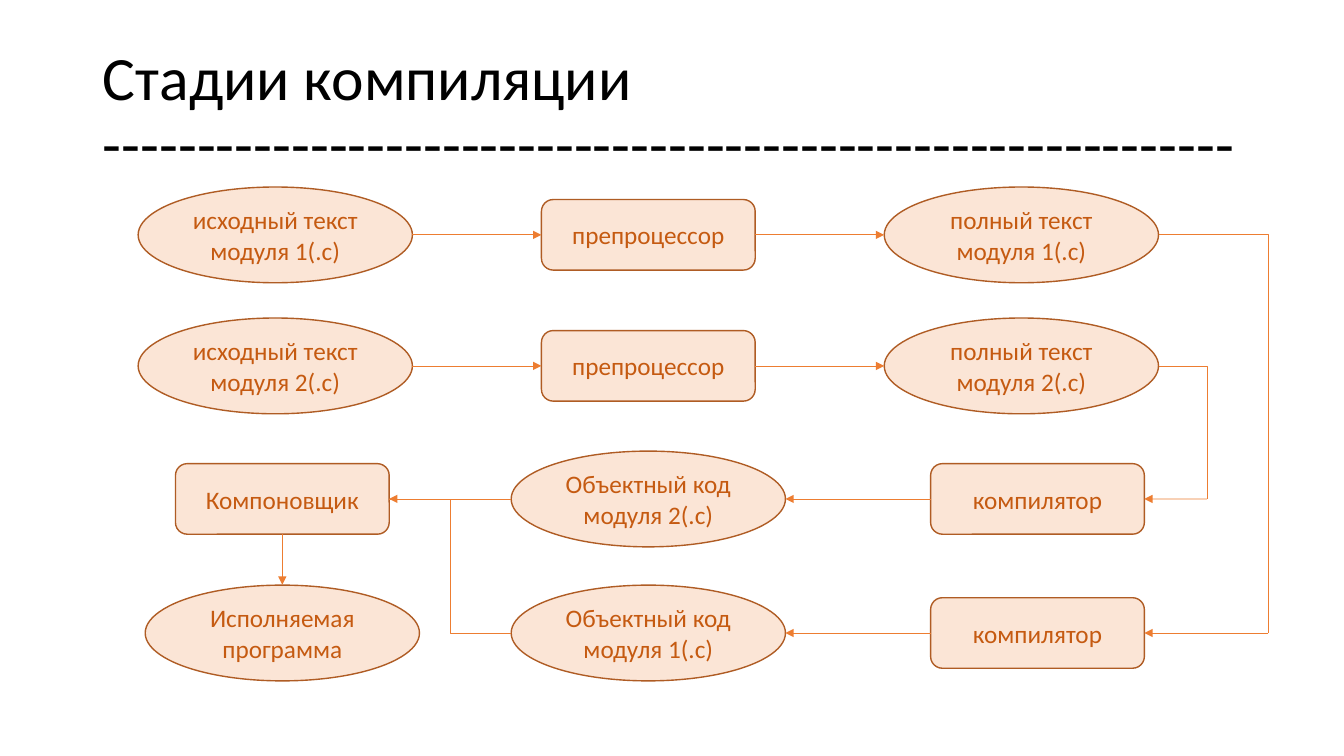
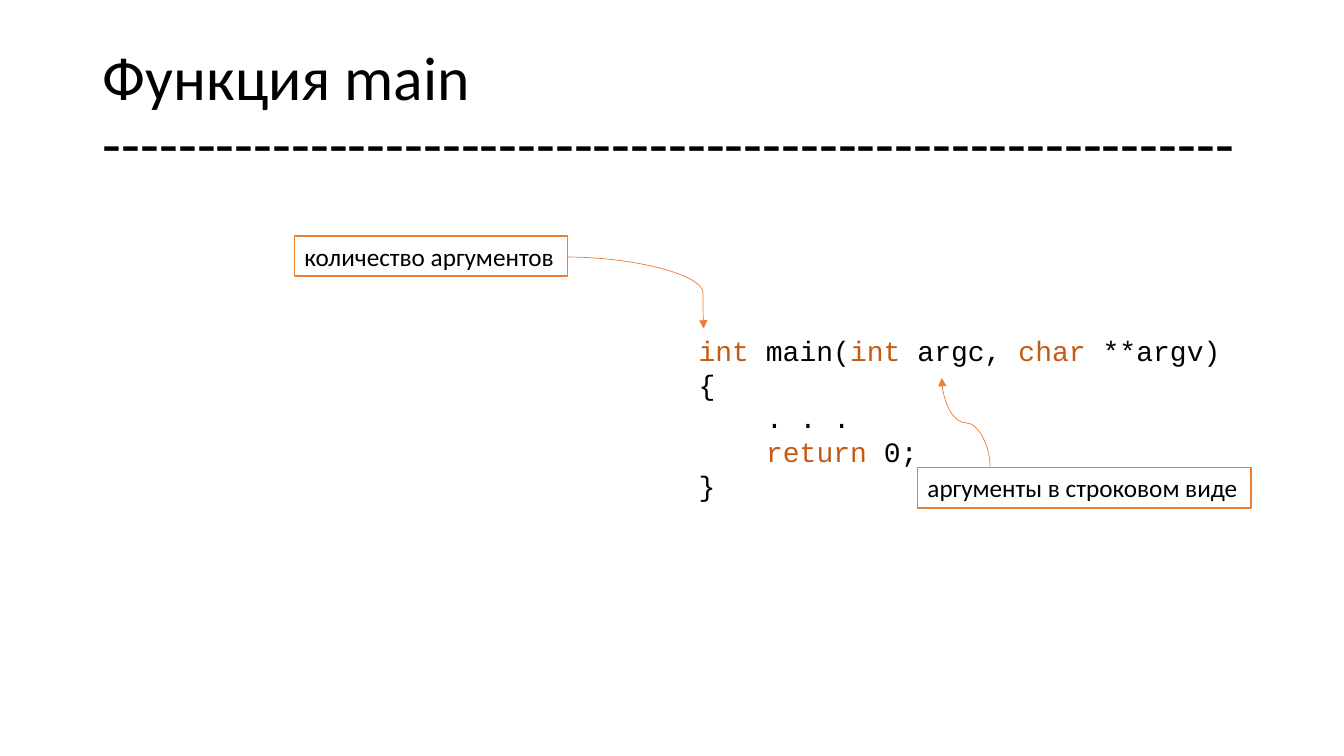
from dataclasses import dataclass

from lxml import etree
from pptx import Presentation
from pptx import util as u
from pptx.dml.color import RGBColor
from pptx.enum import shapes, text
from pptx.oxml import ns

KIND = shapes.MSO_SHAPE
WIRE = shapes.MSO_CONNECTOR
ALIGN = text.PP_ALIGN


@dataclass(frozen=True)
class Theme:
    ink: str = "000000"
    paper: str = "FFFFFF"
    pale: str = "FBE5D6"
    edge: str = "AF5C24"
    word: str = "C55A11"
    wire: str = "ED7D31"
    font: str = "Calibri"
    mono: str = "Courier New"
    head: int = 44
    code: int = 20
    body: int = 18
    thin: float = 0.5
    rim: float = 1


def put(item, vals):
    for name, val in vals.items():
        setattr(item, name, val)


def paint(fill, tone):
    fill.solid()
    fill.fore_color.rgb = RGBColor.from_string(tone)


def sub(node, tag, **vals):
    return etree.SubElement(node, ns.qn(tag), vals)


class Deck:
    def __init__(self, theme):
        self.theme = theme
        self.prs = Presentation()
        put(self.prs, {"slide_width": u.Inches(13.33), "slide_height": u.Inches(7.5)})

    def page(self, name):
        """Add a slide whose title is underlined by a row of dashes."""
        t = self.theme
        self.slide = self.prs.slides.add_slide(self.prs.slide_layouts[5])
        title = self.slide.shapes.title
        put(title, dict(zip(("left", "top", "width", "height"),
                            map(u.Inches, (0.92, 0.4, 11.5, 1.45)))))
        put(title.text_frame, {
            "text": name + "\v" + "-" * 60,
            "vertical_anchor": text.MSO_ANCHOR.MIDDLE,
            "auto_size": text.MSO_AUTO_SIZE.NONE})
        para = title.text_frame.paragraphs[0]
        put(para, {"alignment": ALIGN.LEFT, "line_spacing": 0.9})
        for run in para.runs:
            self.style(run, t.head, t.ink)

    def style(self, run, size, tone, face=None):
        put(run.font, {"size": u.Pt(size), "name": face or self.theme.font})
        run.font.color.rgb = RGBColor.from_string(tone)

    def rim(self, shape, fill, edge):
        paint(shape.fill, fill)
        paint(shape.line.fill, edge)
        shape.line.width = u.Pt(self.theme.rim)

    def node(self, kind, x, y, w, h, words):
        """Add a filled shape centred on x, y."""
        t = self.theme
        shape = self.slide.shapes.add_shape(
            kind, *map(u.Inches, (x - w / 2, y - h / 2, w, h)))
        shape.shadow.inherit = False
        self.rim(shape, t.pale, t.edge)
        put(shape.text_frame, {"word_wrap": True, "text": words,
                               "vertical_anchor": text.MSO_ANCHOR.MIDDLE})
        para = shape.text_frame.paragraphs[0]
        para.alignment = ALIGN.CENTER
        self.style(para.runs[0], t.body, t.word)
        return shape

    def data(self, x, y, words):
        return self.node(KIND.OVAL, x, y, 2.72, 0.95, words)

    def step(self, x, y, words):
        return self.node(KIND.ROUNDED_RECTANGLE, x, y, 2.12, 0.7, words)

    def box(self, x, y, w, h):
        shape = self.slide.shapes.add_textbox(*map(u.Inches, (x, y, w, h)))
        put(shape.text_frame, {"word_wrap": False,
                               "auto_size": text.MSO_AUTO_SIZE.SHAPE_TO_FIT_TEXT})
        return shape

    def label(self, x, y, w, words):
        t = self.theme
        shape = self.box(x, y, w, 0.4)
        self.rim(shape, t.paper, t.wire)
        run = shape.text_frame.paragraphs[0].add_run()
        run.text = words
        self.style(run, t.body, t.ink)

    def code(self, x, y, w, h, rows):
        """Write rows of (indent, parts); every second part is a keyword."""
        t = self.theme
        frame = self.box(x, y, w, h).text_frame
        for i, (indent, parts) in enumerate(rows):
            para = frame.add_paragraph() if i else frame.paragraphs[0]
            if indent:
                para._p.get_or_add_pPr().set("marL", str(u.Inches(indent)))
            for j, part in enumerate(parts):
                if part:
                    run = para.add_run()
                    run.text = part
                    self.style(run, t.code, t.word if j % 2 else t.ink, t.mono)

    def line(self, start, end, kind=WIRE.STRAIGHT, head=True, form=None, bend=None):
        wire = self.slide.shapes.add_connector(kind, *map(u.Inches, (*start, *end)))
        paint(wire.line.fill, self.theme.wire)
        wire.line.width = u.Pt(self.theme.thin)
        props = wire._element.spPr
        if head:
            sub(wire.line._get_or_add_ln(), "a:tailEnd", type="triangle")
        sub(props, "a:effectLst")
        geom = props.find(ns.qn("a:prstGeom"))
        if form:
            geom.set("prst", form)
        if bend:
            stops = geom.find(ns.qn("a:avLst"))
            if stops is None:
                stops = sub(geom, "a:avLst")
            sub(stops, "a:gd", name="adj1", fmla=f"val {round(bend * 100000)}")
        return wire

    def rise(self, start, end):
        """Curve that leaves its start upwards: a level curve turned by 270 degrees."""
        (x, y), (p, q) = start, end
        mx, my, dx, dy = (x + p) / 2, (y + q) / 2, (x - p) / 2, (y - q) / 2
        wire = self.line((mx - dy, my + dx), (mx + dy, my - dx), WIRE.CURVE)
        wire._element.spPr.find(ns.qn("a:xfrm")).set("rot", str(270 * 60000))

    def join(self, a, b, **opts):
        """Link the facing sides of two nodes."""
        if a.left < b.left:
            start, end = side(a, 1), side(b, 0)
        else:
            start, end = side(a, 0), side(b, 1)
        self.line(start, end, **opts)


def side(shape, part):
    """Middle of the left (0) or right (1) side, in inches."""
    return (shape.left.inches + part * shape.width.inches,
            shape.top.inches + shape.height.inches / 2)


def stages(deck):
    deck.page("Стадии компиляции")
    left, mid, right, last = 2.73, 6.43, 10.13, 10.29
    link = 2.8
    rows = ((1, 2.33, 6.28, 12.58), (2, 3.63, 4.95, 11.97))
    codes = {}
    for num, y, low, turn in rows:
        src = deck.data(left, y, f"исходный текст модуля {num}(.c)")
        prep = deck.step(mid, y, "препроцессор")
        full = deck.data(right, y, f"полный текст модуля {num}(.c)")
        comp = deck.step(last, low, "компилятор")
        codes[num] = deck.data(mid, low, f"Объектный код модуля {num}(.c)")
        for a, b in ((src, prep), (prep, full), (comp, codes[num])):
            deck.join(a, b)
        deck.line(side(full, 1), (turn, low), WIRE.ELBOW,
                  head=False, form="bentConnector2")
        deck.line((turn, low), side(comp, 1))
    linker = deck.step(link, 4.95, "Компоновщик")
    deck.data(link, 6.28, "Исполняемая программа")
    deck.join(codes[1], linker, kind=WIRE.ELBOW)
    deck.join(codes[2], linker, head=False)
    deck.line((link, 5.3), (link, 5.8))


def entry(deck):
    deck.page("Функция main")
    deck.code(6.83, 3.26, 5.59, 1.78, (
        (0, ("", "int ", "main(", "int ", "argc, ", "char", " **argv)")),
        (0, ("{",)),
        (0.67, (". . .",)),
        (0.67, ("", "return", " 0;")),
        (0, ("}",))))
    deck.label(2.92, 2.34, 2.71, "количество аргументов")
    deck.label(9.1, 4.64, 3.31, "аргументы в строковом виде")
    deck.rise((9.82, 4.64), (9.34, 3.75))
    deck.line((5.62, 2.55), (6.98, 3.26), WIRE.CURVE, bend=0.995)


def main():
    deck = Deck(Theme())
    stages(deck)
    entry(deck)
    deck.prs.save("out.pptx")


if __name__ == "__main__":
    main()
